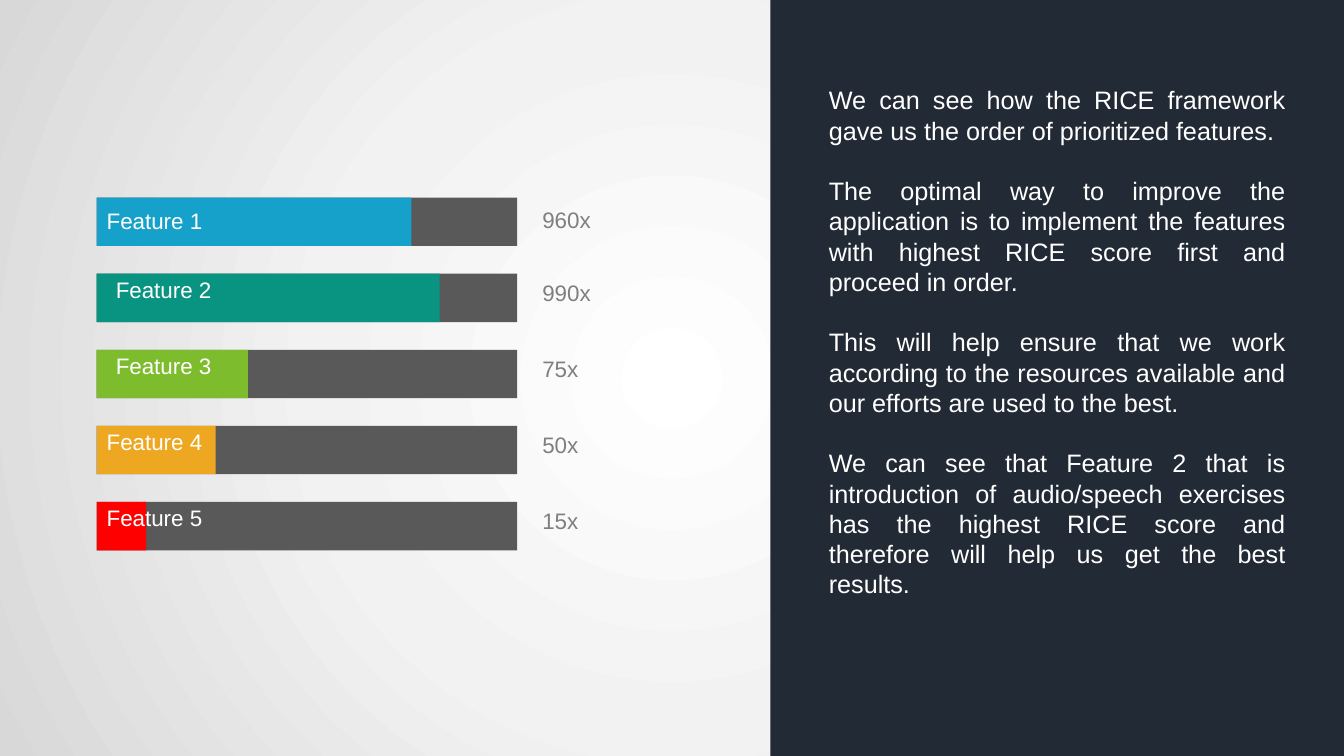
from lxml import etree
from pptx import Presentation, util as u
from pptx.dml.color import RGBColor
from pptx.enum import shapes, text
from pptx.oxml import parse_xml
from pptx.oxml.ns import nsdecls, qn

NAVY = RGBColor(0x22, 0x2A, 0x35)
TRACK = RGBColor(0x59, 0x59, 0x59)
GREY = RGBColor(0x7F, 0x7F, 0x7F)
WHITE = RGBColor(0xFF, 0xFF, 0xFF)
BLUE = RGBColor(0x16, 0xA1, 0xCA)
TEAL = RGBColor(0x09, 0x94, 0x81)
GREEN = RGBColor(0x7D, 0xBC, 0x2D)
AMBER = RGBColor(0xEE, 0xA7, 0x20)
RED = RGBColor(0xFF, 0x00, 0x00)

BACKDROP_STOPS = [(0, "FFFFFF"), (46, "F2F2F2"), (100, "D8D8D8")]

BAR_LEFT, BAR_TOP, BAR_WIDTH, BAR_HEIGHT = 0.96, 1.96, 4.17, 0.48
BAR_PITCH = (4.98 - BAR_TOP) / 4

# name, score, bar width, colour, label offset (x, y), score offset
FEATURES = [
    ("Feature 1", "960x", 3.12, BLUE, (0, 0), 0.04),
    ("Feature 2", "990x", 3.4, TEAL, (0.09, -0.08), 0),
    ("Feature 3", "75x", 1.5, GREEN, (0.09, -0.08), 0),
    ("Feature 4", "50x", 1.18, AMBER, (0, -0.08), 0),
    ("Feature 5", "15x", 0.49, RED, (0, -0.08), 0),
]

FINDINGS = [
    "We can see how the RICE framework gave us the order of prioritized features.",
    "The optimal way to improve the application is to implement the features "
    "with highest RICE score first and proceed in order.",
    "This will help ensure that we work according to the resources available "
    "and our efforts are used to the best.",
    "We can see that Feature 2 that is introduction of audio/speech exercises "
    "has the highest RICE score and therefore will help us get the best results.",
]


def apply(target, values):
    for name, value in values.items():
        setattr(target, name, value)


class SlideBuilder:
    font_name = "Arial"

    def __init__(self, deck):
        self.page = deck.slides.add_slide(deck.slide_layouts[1])
        title = self.page.shapes.title._element
        title.getparent().remove(title)

    def backdrop(self, stops):
        self.page.background.fill.solid()
        properties = self.page._element.find(".//" + qn("p:bgPr"))
        marks = "".join(
            f'<a:gs pos="{place * 1000}"><a:srgbClr val="{colour}"/></a:gs>'
            for place, colour in stops)
        gradient = parse_xml(
            f'<a:gradFill {nsdecls("a")} rotWithShape="1"><a:gsLst>{marks}</a:gsLst>'
            '<a:path path="circle"><a:fillToRect l="50000" t="50000" r="50000" b="50000"/>'
            '</a:path></a:gradFill>')
        properties.replace(properties[0], gradient)

    def bar(self, left, top, width, height, colour):
        box = self.page.shapes.add_shape(
            shapes.MSO_SHAPE.RECTANGLE, *map(u.Inches, (left, top, width, height)))
        box.shadow.inherit = False
        box.fill.solid()
        box.fill.fore_color.rgb = colour
        box.line.fill.background()

    def add_words(self, para, words, size, colour):
        span = para.add_run()
        span.text = words
        apply(span.font, {"name": self.font_name, "size": u.Pt(size)})
        span.font.color.rgb = colour

    def label(self, left, top, width, height, words, colour, inset=0.05):
        box = self.page.shapes.add_textbox(*map(u.Inches, (left, top, width, height)))
        apply(box.text_frame, {"word_wrap": True, "margin_top": u.Inches(inset),
                               "margin_bottom": u.Inches(inset)})
        self.add_words(box.text_frame.paragraphs[0], words, 16, colour)

    def body(self, left, top, width, height, passages):
        box = self.page.placeholders[1]
        self.page.shapes._spTree.append(box._element)
        apply(box, {"left": u.Inches(left), "top": u.Inches(top),
                    "width": u.Inches(width), "height": u.Inches(height)})
        frame = box.text_frame
        apply(frame, {"word_wrap": True, "auto_size": text.MSO_AUTO_SIZE.NONE,
                      "vertical_anchor": text.MSO_ANCHOR.TOP})
        for index, passage in enumerate(passages):
            para = frame.add_paragraph() if index else frame.paragraphs[0]
            apply(para, {"alignment": text.PP_ALIGN.JUSTIFY,
                         "line_spacing": u.Pt(21.6), "space_after": u.Pt(0),
                         "space_before": u.Pt(21.6 if index else 0)})
            properties = para._p.get_or_add_pPr()
            properties.set("marL", "0")
            properties.set("indent", "0")
            etree.SubElement(properties, qn("a:buNone"))
            self.add_words(para, passage, 18, WHITE)


def main():
    deck = Presentation()
    apply(deck, {"slide_width": u.Inches(13.33), "slide_height": u.Inches(7.5)})
    slide = SlideBuilder(deck)
    slide.backdrop(BACKDROP_STOPS)
    slide.bar(7.64, 0, 5.7, 7.5, NAVY)
    slide.body(8.12, 0.79, 4.73, 6.02, FINDINGS)
    for row, (name, score, width, colour, shift, drop) in enumerate(FEATURES):
        top = BAR_TOP + row * BAR_PITCH
        slide.bar(BAR_LEFT, top, BAR_WIDTH, BAR_HEIGHT, TRACK)
        slide.bar(BAR_LEFT, top, width, BAR_HEIGHT, colour)
        slide.label(5.28, top + drop, 1.05, 0.49, score, GREY)
        slide.label(BAR_LEFT + shift[0], top + shift[1], 1.5, 0.64, name, WHITE, inset=0.1)
    deck.save("out.pptx")


if __name__ == "__main__":
    main()
